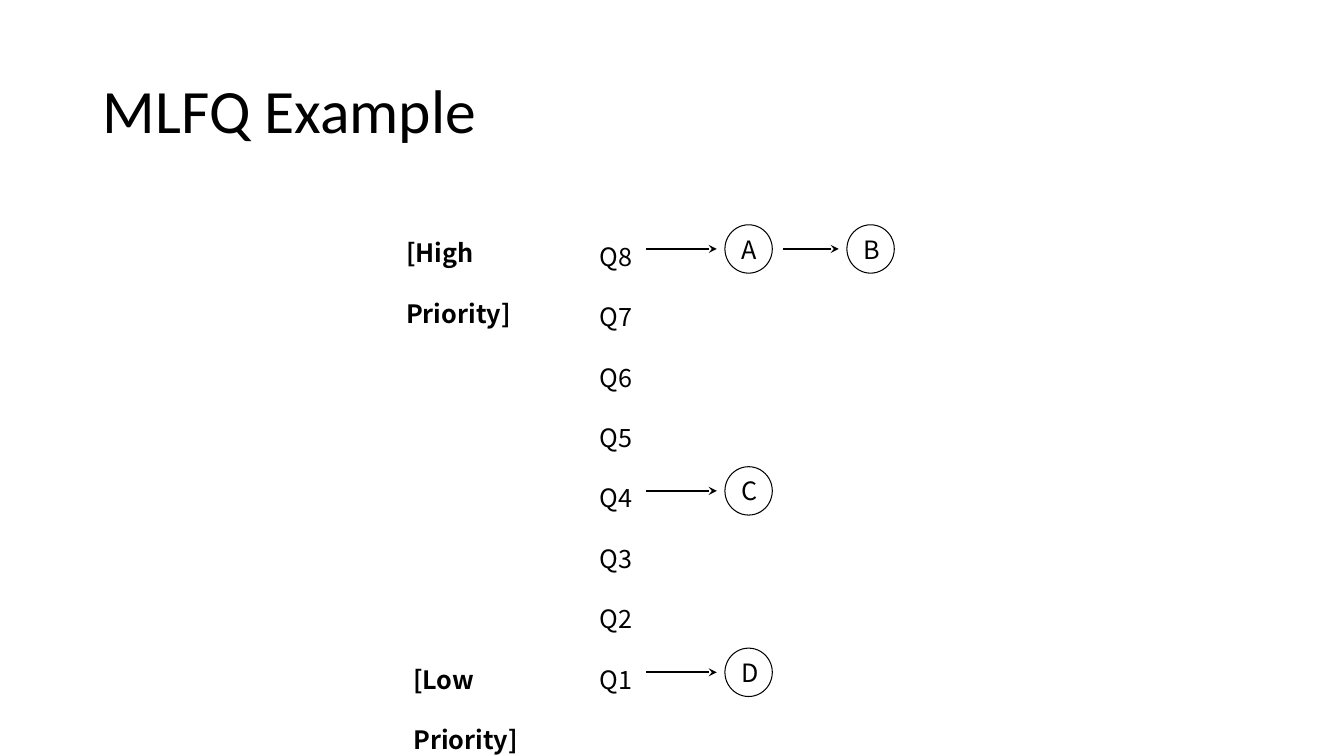
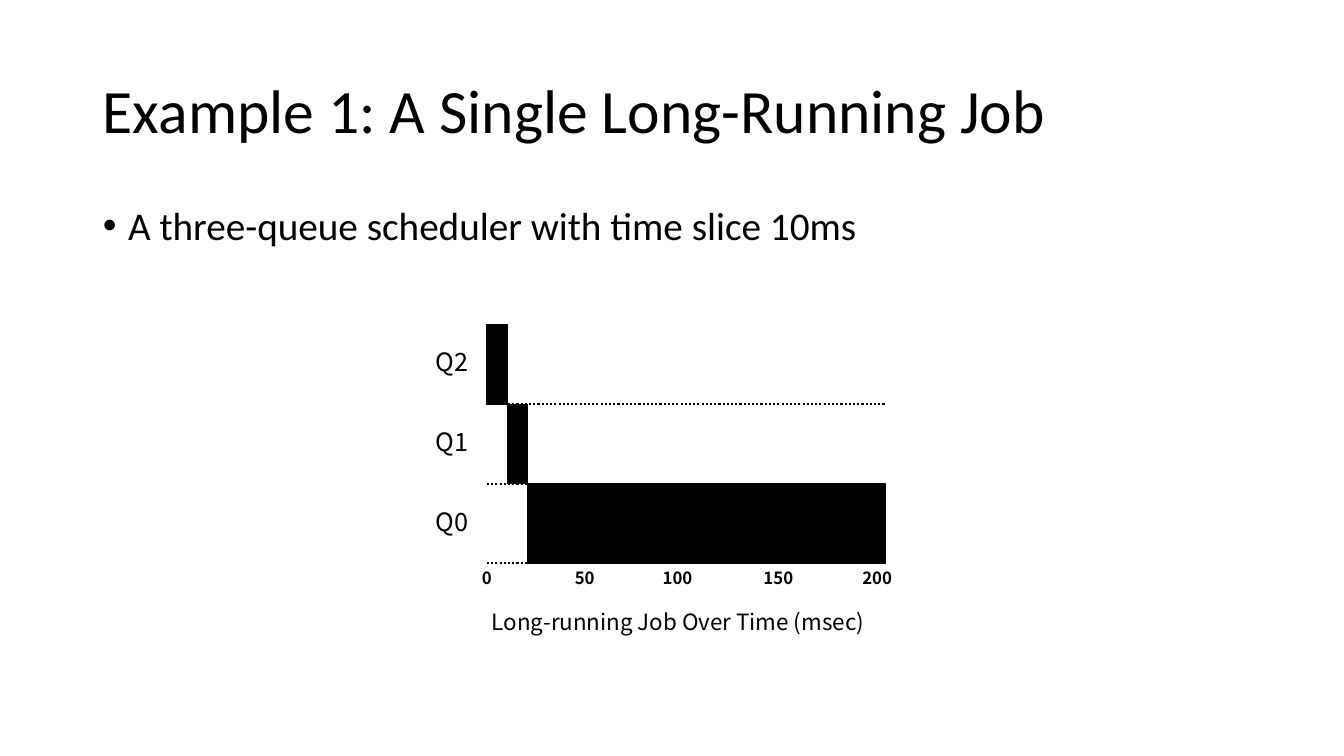
"""Build two slides on multi-level feedback queue scheduling."""
from lxml import etree
from pptx import Presentation
from pptx import util as u
from pptx.dml.color import RGBColor
from pptx.enum import dml, shapes, text
from pptx.oxml import ns

COLOURS = {"ink": "000000", "paper": "FFFFFF"}
TITLE_FONT = "Calibri"
LABEL_FONT = "Noto Sans CJK KR"
TITLE_AND_BODY, TITLE_ONLY = 1, 5


def colour(name):
    """Return the named colour."""
    return RGBColor.from_string(COLOURS[name])


def write(frame, wording, size=18, font=LABEL_FONT, bold=False,
          align=text.PP_ALIGN.LEFT, anchor=text.MSO_ANCHOR.TOP,
          spacing=1.0, before=0):
    """Fill a text frame with evenly formatted paragraphs."""
    frame.text = wording
    frame.word_wrap = True
    frame.auto_size = text.MSO_AUTO_SIZE.NONE
    frame.vertical_anchor = anchor
    for paragraph in frame.paragraphs:
        paragraph.alignment = align
        paragraph.line_spacing = spacing
        paragraph.space_before = u.Pt(before)
        for run in paragraph.runs:
            run.font.name = font
            run.font.size = u.Pt(size)
            run.font.bold = bold
            run.font.color.rgb = colour("ink")


def place(shape, left, top, width, height):
    """Move and size a shape in inches."""
    shape.left, shape.top = u.Inches(left), u.Inches(top)
    shape.width, shape.height = u.Inches(width), u.Inches(height)


class Deck:
    """Hold the shared style and the current slide."""

    def __init__(self):
        """Open an empty widescreen presentation."""
        self.show = Presentation()
        self.show.slide_width = u.Inches(13.33)
        self.show.slide_height = u.Inches(7.5)
        self.slide = None
        self.canvas = None

    def add_slide(self, title, layout=TITLE_ONLY):
        """Start a slide with its title."""
        self.slide = self.show.slides.add_slide(self.show.slide_layouts[layout])
        self.canvas = self.slide.shapes
        heading = self.slide.shapes.title
        place(heading, 0.92, 0.4, 11.5, 1.45)
        write(heading.text_frame, title, size=44, font=TITLE_FONT,
              anchor=text.MSO_ANCHOR.MIDDLE, spacing=0.9)

    def start_group(self):
        """Send the next elements into a new group."""
        self.canvas = self.slide.shapes.add_group_shape().shapes

    def end_group(self):
        """Send the next elements straight to the slide."""
        self.canvas = self.slide.shapes

    def bullet(self, wording):
        """Fill the body placeholder with one bullet."""
        body = self.slide.placeholders[1]
        place(body, 0.92, 2, 11.5, 4.76)
        write(body.text_frame, wording, size=28, font=TITLE_FONT,
              spacing=0.9, before=10)
        properties = body.text_frame.paragraphs[0]._p.get_or_add_pPr()
        properties.set("marL", str(u.Inches(0.25)))
        properties.set("indent", str(u.Inches(-0.25)))
        etree.SubElement(properties, ns.qn("a:buChar"), char="•")

    def label(self, wording, left, top, width, height, **style):
        """Add a text box."""
        box = self.canvas.add_textbox(*map(u.Inches, (left, top, width, height)))
        write(box.text_frame, wording, **style)

    def shape(self, kind, left, top, width, height, fill):
        """Add an outlined preset shape."""
        shape = self.canvas.add_shape(
            kind, *map(u.Inches, (left, top, width, height)))
        shape.shadow.inherit = False
        shape.fill.solid()
        shape.fill.fore_color.rgb = colour(fill)
        shape.line.color.rgb = colour("ink")
        shape.line.width = u.Pt(0.75)
        return shape

    def job(self, name, left, middle):
        """Add a circled job name."""
        circle = self.shape(shapes.MSO_SHAPE.OVAL, left, middle - 0.24,
                            0.47, 0.48, "paper")
        write(circle.text_frame, name, align=text.PP_ALIGN.CENTER,
              anchor=text.MSO_ANCHOR.MIDDLE)

    def rule(self, start, end, y):
        """Add a horizontal line."""
        line = self.canvas.add_connector(
            shapes.MSO_CONNECTOR.STRAIGHT,
            *map(u.Inches, (start, y, end, y)))
        line.line.color.rgb = colour("ink")
        line.line.width = u.Pt(1.5)
        etree.SubElement(line._element.spPr, ns.qn("a:effectLst"))
        return line

    def arrow(self, start, end, y):
        """Add a line with an arrowhead at its end."""
        outline = self.rule(start, end, y).get_or_add_ln()
        etree.SubElement(outline, ns.qn("a:tailEnd"), type="stealth")

    def dotted(self, start, end, y):
        """Add a dotted line."""
        self.rule(start, end, y).line.dash_style = dml.MSO_LINE.ROUND_DOT


def queue_example(deck):
    """Show jobs waiting in eight priority queues."""
    deck.add_slide("MLFQ Example")
    queues = [f"Q{level}" for level in range(8, 0, -1)]
    deck.label("\n".join(queues), 5.85, 2.04, 0.55, 4.85, spacing=2.0)
    deck.label("[High Priority]", 3.93, 2.01, 1.85, 0.61, bold=True, spacing=2.0)
    deck.label("[Low Priority]", 4, 6.24, 1.85, 0.61, bold=True, spacing=2.0)
    arrows = [(6.41, 7.11), (7.77, 8.32)]
    for queue, jobs in {"Q8": "AB", "Q4": "C", "Q1": "D"}.items():
        middle = 2.47 + 0.6 * queues.index(queue)
        for (start, end), name in zip(arrows, jobs):
            deck.arrow(start, end, middle)
            deck.job(name, end + 0.08, middle)


def long_job_example(deck):
    """Show one long job moving down three queues."""
    deck.add_slide("Example 1: A Single Long-Running Job", TITLE_AND_BODY)
    deck.bullet("A three-queue scheduler with time slice 10ms")
    deck.start_group()
    axis_start, top, lane, time_slice = 4.83, 3.22, 0.79, 0.2
    durations = {"Q2": time_slice, "Q1": time_slice, "Q0": 3.55}
    bar_start = axis_start
    for row, (queue, duration) in enumerate(durations.items()):
        lane_top = top + row * lane
        deck.dotted(axis_start, 8.78, lane_top + lane)
        deck.shape(shapes.MSO_SHAPE.RECTANGLE, bar_start, lane_top,
                   duration, lane, "ink")
        deck.label(queue, 4.14, lane_top + 0.17, 0.69, 0.4,
                   align=text.PP_ALIGN.CENTER)
        bar_start += duration
    ticks = {"0": 4.83, "50": 5.8, "100": 6.72, "150": 7.72, "200": 8.7}
    for time, centre in ticks.items():
        deck.label(time, centre - 0.3, 5.58, 0.6, 0.3, size=12, bold=True,
                   align=text.PP_ALIGN.CENTER)
    deck.end_group()
    deck.label("Long-running Job Over Time (msec)", 4.42, 5.98, 4.61, 0.37,
               size=16, align=text.PP_ALIGN.CENTER)


def main():
    """Build and save the slides."""
    deck = Deck()
    queue_example(deck)
    long_job_example(deck)
    deck.show.save("out.pptx")


if __name__ == "__main__":
    main()
